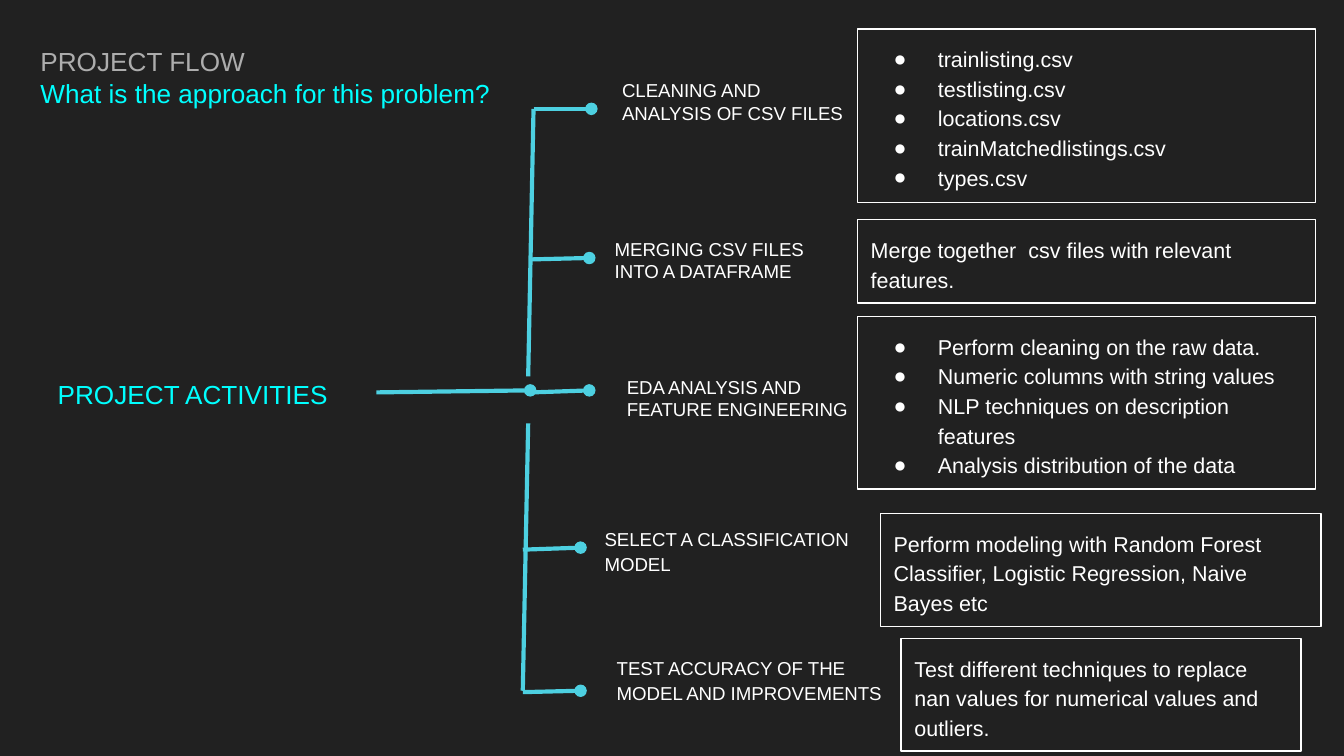
from typing import NamedTuple

from lxml import etree
from pptx import Presentation
from pptx.dml.color import RGBColor
from pptx.enum.shapes import MSO_CONNECTOR, MSO_SHAPE
from pptx.enum.text import MSO_ANCHOR, MSO_AUTO_SIZE, PP_ALIGN
from pptx.oxml.ns import qn
from pptx.util import Pt

PX = 4572  # 200 px to the inch
SLIDE_SIZE = (2000, 1125)
COLORS = {
    "background": "212121",
    "heading": "ADADAD",
    "accent": "00FFFF",
    "branch": "4DD0E1",
    "white": "FFFFFF",
}
FONT = "Arial"
STRAIGHT = MSO_CONNECTOR.STRAIGHT
RECTANGLE = MSO_SHAPE.RECTANGLE
LEFT = PP_ALIGN.LEFT
INSET = 20 * PX
FRAME_FORMAT = {
    "word_wrap": True,
    "auto_size": MSO_AUTO_SIZE.NONE,
    "vertical_anchor": MSO_ANCHOR.TOP,
    "margin_left": INSET,
    "margin_top": INSET,
    "margin_right": INSET,
    "margin_bottom": INSET,
}


class Area(NamedTuple):
    left: int
    top: int
    width: int
    height: int


class Line(NamedTuple):
    text: str
    size: float
    color: str = "white"
    spacing: float = 1.0
    bullet: bool = False


class Branch(NamedTuple):
    start: tuple[int, int]
    end: tuple[int, int]
    dot: bool = True


class Step(NamedTuple):
    label_area: Area
    label: list[str]
    label_spacing: float
    detail_area: Area
    details: list[str]


TITLE_AREA = Area(40, 48, 754, 228)
TITLE_LINES = [
    Line("PROJECT FLOW", 14, "heading"),
    Line("What is the approach for this problem?", 14, "accent"),
]
ROOT_AREA = Area(66, 543, 656, 88)
BRANCHES = [
    Branch((560, 584), (789, 581)),
    Branch((786, 560), (794, 162), dot=False),
    Branch((778, 1028), (786, 630), dot=False),
    Branch((794, 162), (880, 162)),
    Branch((792, 386), (877, 384)),
    Branch((792, 584), (877, 581)),
    Branch((778, 818), (864, 815)),
    Branch((778, 1030), (864, 1028)),
]
STEPS = [
    Step(Area(906, 98, 442, 112), ["CLEANING AND", "ANALYSIS OF CSV FILES"], 1.0,
         Area(1276, 43, 682, 258),
         ["trainlisting.csv", "testlisting.csv", "locations.csv",
          "trainMatchedlistings.csv", "types.csv"]),
    Step(Area(895, 334, 442, 148), ["MERGING CSV FILES", "INTO A DATAFRAME"], 1.0,
         Area(1276, 327, 682, 124),
         ["Merge together  csv files with relevant features."]),
    Step(Area(913, 539, 442, 148), ["EDA ANALYSIS AND", "FEATURE ENGINEERING"], 1.0,
         Area(1276, 471, 682, 257),
         ["Perform cleaning on the raw data.", "Numeric columns with string values",
          "NLP techniques on description features", "Analysis distribution of the data"]),
    Step(Area(880, 760, 442, 154), ["SELECT A CLASSIFICATION MODEL"], 1.15,
         Area(1310, 764, 656, 168),
         ["Perform modeling with Random Forest Classifier, Logistic Regression, "
          "Naive Bayes etc"]),
    Step(Area(898, 952, 442, 154), ["TEST ACCURACY OF THE MODEL AND IMPROVEMENTS"], 1.15,
         Area(1341, 950, 595, 168),
         ["Test different techniques to replace nan values for numerical values "
          "and outliers."]),
]


def rgb(name: str) -> RGBColor:
    return RGBColor.from_string(COLORS[name])


def scaled(lengths: tuple[int, ...]) -> list[int]:
    return [length * PX for length in lengths]


def add_bullet(para, size: float) -> None:
    properties = para._p.get_or_add_pPr()
    properties.set("marL", str(100 * PX))
    properties.set("indent", str(-66 * PX))
    color = etree.SubElement(properties, qn("a:buClr"))
    etree.SubElement(color, qn("a:srgbClr"), val=COLORS["white"])
    etree.SubElement(properties, qn("a:buSzPts"), val=str(int(size * 100)))
    etree.SubElement(properties, qn("a:buFont"), typeface=FONT)
    etree.SubElement(properties, qn("a:buChar"), char="●")


def write_lines(frame, lines: list[Line]) -> None:
    for name, value in FRAME_FORMAT.items():
        setattr(frame, name, value)
    for index, line in enumerate(lines):
        para = frame.add_paragraph() if index else frame.paragraphs[0]
        para.alignment = LEFT
        para.line_spacing = line.spacing
        if line.bullet:
            add_bullet(para, line.size)
        span = para.add_run()
        span.text = line.text
        span.font.name = FONT
        span.font.size = Pt(line.size)
        span.font.color.rgb = rgb(line.color)


def add_title(page) -> None:
    title = page.shapes.title
    title.left, title.top, title.width, title.height = scaled(TITLE_AREA)
    write_lines(title.text_frame, TITLE_LINES)


def add_text(page, area: Area, lines: list[Line]) -> None:
    box = page.shapes.add_textbox(*scaled(area))
    write_lines(box.text_frame, lines)


def add_branch(page, branch: Branch) -> None:
    connector = page.shapes.add_connector(STRAIGHT, *scaled(branch.start + branch.end))
    connector.line.color.rgb = rgb("branch")
    connector.line.width = Pt(2.25)
    if branch.dot:
        etree.SubElement(connector.line._get_or_add_ln(), qn("a:tailEnd"), type="oval")
    etree.SubElement(connector._element.spPr, qn("a:effectLst"))


def add_step(page, step: Step) -> None:
    add_text(page, step.label_area,
             [Line(text, 10, spacing=step.label_spacing) for text in step.label])
    box = page.shapes.add_shape(RECTANGLE, *scaled(step.detail_area))
    box.shadow.inherit = False
    box.fill.background()
    box.line.color.rgb = rgb("white")
    box.line.width = Pt(0.75)
    bulleted = len(step.details) > 1
    write_lines(box.text_frame,
                [Line(text, 11.5, spacing=1.15, bullet=bulleted) for text in step.details])


def main() -> None:
    deck = Presentation()
    deck.slide_width, deck.slide_height = scaled(SLIDE_SIZE)
    page = deck.slides.add_slide(deck.slide_layouts.get_by_name("Title Only"))
    page.background.fill.solid()
    page.background.fill.fore_color.rgb = rgb("background")
    add_title(page)
    add_text(page, ROOT_AREA, [Line("PROJECT ACTIVITIES", 14, "accent")])
    for branch in BRANCHES:
        add_branch(page, branch)
    for step in STEPS:
        add_step(page, step)
    deck.save("out.pptx")


if __name__ == "__main__":
    main()
